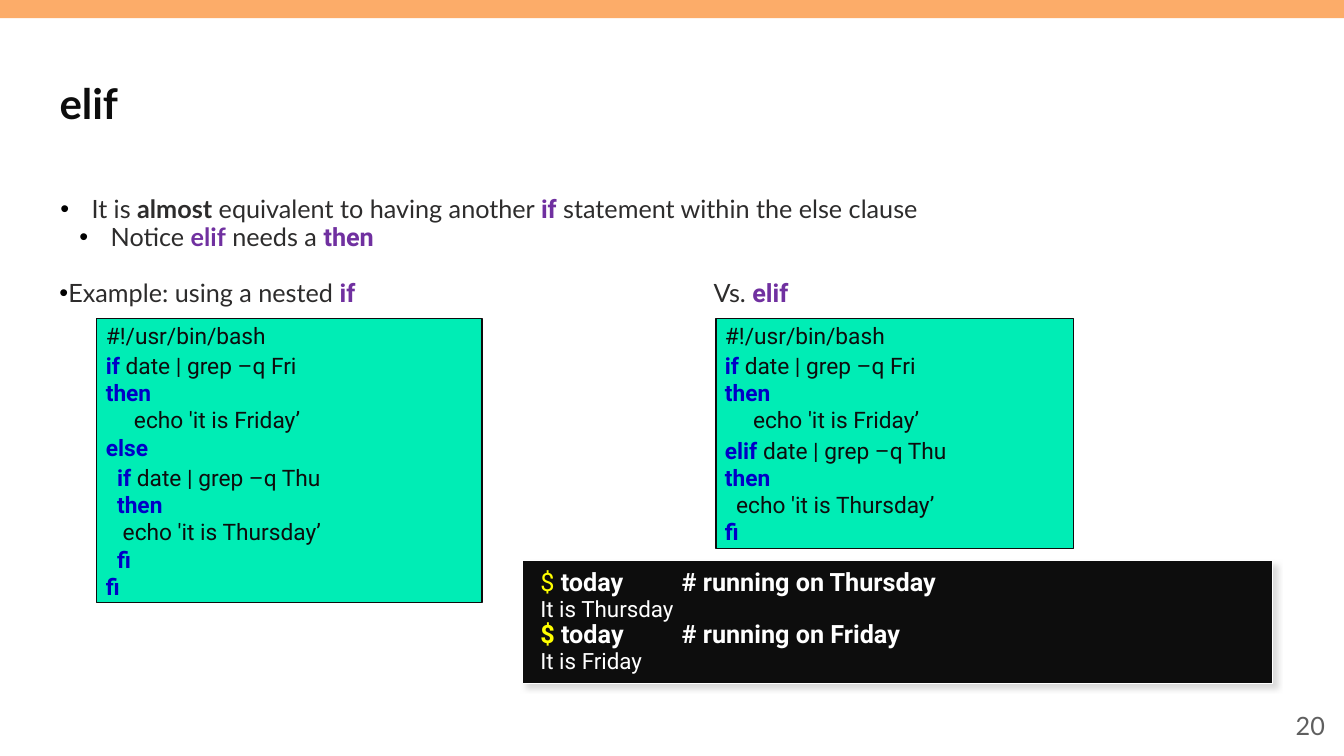
from lxml import etree
from pptx import Presentation, util as u
from pptx.dml.color import RGBColor
from pptx.enum import shapes, text
from pptx.oxml.ns import qn

INK, BODY, PURPLE, BLUE = "0D0D0D", "2D2C2C", "7030A0", "0000C7"
WHITE, YELLOW, GREEN, ORANGE, GREY = "FFFFFF", "FFFF00", "00EDB5", "FCAC69", "5F5F5F"
STYLES = {
    "body": ("Lato", 18, BODY, False),
    "strong": ("Lato", 18, BODY, True),
    "term": ("Lato", 18, PURPLE, True),
    "keyword": ("Roboto", 18, PURPLE, True),
    "code": ("Roboto", 16.2, INK, False),
    "reserved": ("Roboto", 16.2, BLUE, True),
    "prompt": ("Roboto", 18, YELLOW, False),
    "bold prompt": ("Roboto", 18, YELLOW, True),
    "command": ("Roboto", 18, WHITE, True),
    "output": ("Roboto", 16, WHITE, False),
    "title": ("Lato", 30, INK, True),
    "number": ("Lato", 18, GREY, False),
}
TITLE = [[("elif", "title")]]
NUMBER = [[("20", "number")]]
POINTS = [
    [("It is ", "body"), ("almost", "strong"), (" equivalent to having another ", "body"),
     ("if", "keyword"), (" statement within the else clause", "body")],
    [("Notice ", "body"), ("elif", "term"), (" needs a ", "body"), ("then", "keyword")],
    [("Example: using a nested ", "body"), ("if", "keyword"), ("\tVs. ", "body"),
     ("elif", "keyword")],
]
POINT_LAYOUT = [(0.32, 0.31, 0), (0.51, 0.31, 0.7), (0.09, 0.09, 20.8)]
VERSUS_TAB, COMMENT_TAB = 6.49, 1.4


def test_line(word, day):
    return [(word + " ", "reserved"), (f"date | grep –q {day}", "code")]


def reserved(word):
    return [(word, "reserved")]


OPENING = [
    [("#!/usr/bin/bash", "code")],
    test_line("if", "Fri"),
    reserved("then"),
    [("     echo 'it is Friday’", "code")],
]
NESTED = OPENING + [
    reserved("else"),
    test_line("  if", "Thu"),
    reserved("  then"),
    [("   echo 'it is Thursday’", "code")],
    reserved("  fi"),
    reserved("fi"),
]
CHAINED = OPENING + [
    test_line("elif", "Thu"),
    reserved("then"),
    [("  echo 'it is Thursday’", "code")],
    reserved("fi"),
]
LISTINGS = [(NESTED, 0.96, 3.82, 2.82), (CHAINED, 7.1, 3.55, 2.28)]
LISTING_TOP = 3.16
SESSION = [
    [("$ ", "prompt"), ("today\t# running on Thursday", "command")],
    [("It is Thursday", "output")],
    [("$", "bold prompt"), (" today\t# running on Friday", "command")],
    [("It is Friday", "output")],
]


def colour(value):
    return RGBColor.from_string(value)


def inches(*lengths):
    return [u.Inches(length) for length in lengths]


def write(frame, lines, insets=(0.1, 0.05, 0.1, 0.05), anchor=text.MSO_ANCHOR.TOP):
    frame.word_wrap = True
    frame.auto_size = text.MSO_AUTO_SIZE.NONE
    frame.vertical_anchor = anchor
    (frame.margin_left, frame.margin_top,
     frame.margin_right, frame.margin_bottom) = inches(*insets)
    frame.text = "\n".join("" for _ in lines)
    for paragraph, line in zip(frame.paragraphs, lines):
        paragraph.alignment = text.PP_ALIGN.LEFT
        for words, style in line:
            run = paragraph.add_run()
            run.text = words
            font = run.font
            font.name, size, ink, font.bold = STYLES[style]
            font.size = u.Pt(size)
            font.color.rgb = colour(ink)
    return frame.paragraphs


def add_tab(paragraph, position):
    stops = etree.SubElement(paragraph._p.get_or_add_pPr(), qn("a:tabLst"))
    etree.SubElement(stops, qn("a:tab"), pos=str(u.Inches(position)), algn="l")


def add_bullet(paragraph, margin, hang):
    properties = paragraph._p.get_or_add_pPr()
    properties.set("marL", str(u.Inches(margin)))
    properties.set("indent", str(-u.Inches(hang)))
    ink = etree.SubElement(properties, qn("a:buClr"))
    etree.SubElement(ink, qn("a:srgbClr"), val="000000")
    etree.SubElement(properties, qn("a:buFont"), typeface="Arial")
    etree.SubElement(properties, qn("a:buChar"), char="•")


def add_panel(slide, place, fill, line=None):
    panel = slide.shapes.add_shape(shapes.MSO_SHAPE.RECTANGLE, *inches(*place))
    panel.shadow.inherit = False
    panel.fill.solid()
    panel.fill.fore_color.rgb = colour(fill)
    if line:
        panel.line.color.rgb = colour(line)
        panel.line.width = u.Pt(1)
    else:
        panel.line.fill.background()
    return panel


def cast_shadow(panel):
    effects = panel._element.spPr.find(qn("a:effectLst"))
    shadow = etree.SubElement(effects, qn("a:outerShdw"), blurRad=str(u.Pt(4)),
                              dist=str(u.Pt(4)), dir=str(45 * 60000),
                              algn="tl", rotWithShape="0")
    etree.SubElement(shadow, qn("a:srgbClr"), val="DADADA")


def main():
    deck = Presentation()
    deck.slide_width, deck.slide_height = inches(13.33, 7.5)
    slide = deck.slides.add_slide(deck.slide_layouts[5])
    add_panel(slide, (0, 0, 13.33, 0.18), ORANGE)

    title = slide.shapes.title
    title.left, title.top, title.width, title.height = inches(0.49, 0.55, 12.36, 0.94)
    write(title.text_frame, TITLE, anchor=text.MSO_ANCHOR.MIDDLE)

    points = slide.shapes.add_textbox(*inches(0.49, 1.9, 12.36, 1.25))
    paragraphs = write(points.text_frame, POINTS)
    for paragraph, (margin, hang, before) in zip(paragraphs, POINT_LAYOUT):
        paragraph.line_spacing = 0.9
        paragraph.space_before = u.Pt(before)
        add_bullet(paragraph, margin, hang)
    add_tab(paragraphs[-1], VERSUS_TAB)

    number = slide.shapes.add_textbox(*inches(10.24, 7, 3, 0.4))
    write(number.text_frame, NUMBER,
          anchor=text.MSO_ANCHOR.MIDDLE)[0].alignment = text.PP_ALIGN.RIGHT

    for lines, left, width, height in LISTINGS:
        listing = add_panel(slide, (left, LISTING_TOP, width, height), GREEN, INK)
        paragraphs = write(listing.text_frame, lines, (0.09, 0.03, 0, 0))
        for paragraph, line in zip(paragraphs[1:], lines[1:]):
            paragraph.space_before = u.Pt(2.2 if len(line) > 1 else 0)

    terminal = add_panel(slide, (5.18, 5.56, 7.44, 1.22), INK, WHITE)
    cast_shadow(terminal)
    for paragraph in write(terminal.text_frame, SESSION, (0.18, 0.1, 0.1, 0.06)):
        paragraph.line_spacing = u.Pt(18.5)
        add_tab(paragraph, COMMENT_TAB)

    deck.save("out.pptx")


if __name__ == "__main__":
    main()
